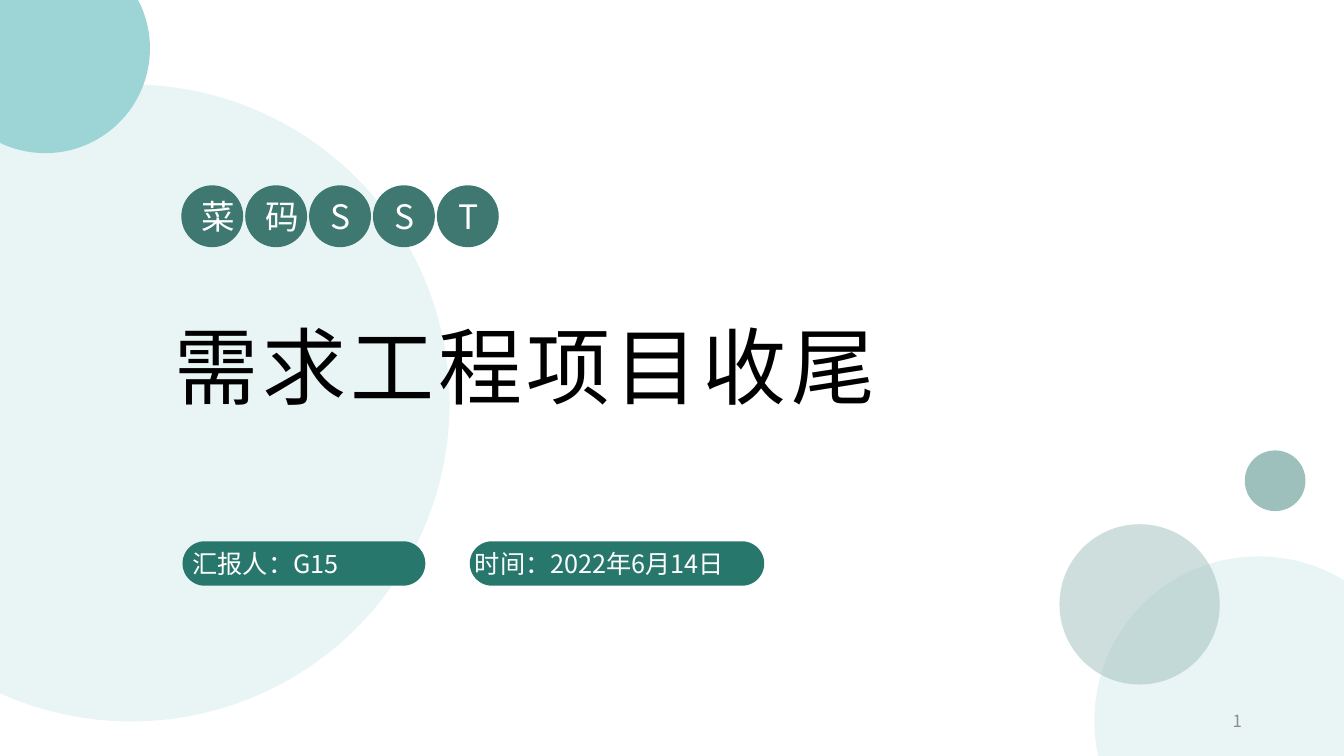
from dataclasses import dataclass

from lxml.etree import SubElement
from pptx import Presentation
from pptx.dml.color import RGBColor
from pptx.enum.shapes import MSO_SHAPE as Preset
from pptx.enum.text import MSO_ANCHOR as Anchor, MSO_AUTO_SIZE as AutoSize, PP_ALIGN as Align
from pptx.oxml.ns import qn
from pptx.util import Cm, Pt


@dataclass(frozen=True)
class Theme:
    font: str = "Noto Sans CJK SC"
    pale: str = "E9F5F5"
    aqua: str = "9DD5D6"
    sage: str = "9DC0BC"
    badge: str = "3E7871"
    pill: str = "27776D"
    white: str = "FFFFFF"
    black: str = "000000"
    grey: str = "8C8C8C"
    title_size: int = 60
    badge_size: int = 24
    label_size: int = 18
    number_size: int = 12


class SlideBuilder:
    def __init__(self, slide, theme):
        self.slide = slide
        self.theme = theme

    def group(self):
        return self.slide.shapes.add_group_shape().shapes

    def shape(self, preset, left, top, width, height, color, shapes=None, opacity=None):
        target = self.slide.shapes if shapes is None else shapes
        shape = target.add_shape(preset, Cm(left), Cm(top), Cm(width), Cm(height))
        shape.shadow.inherit = False
        shape.fill.solid()
        shape.fill.fore_color.rgb = RGBColor.from_string(color)
        shape.line.fill.background()
        if opacity is not None:
            fill_color = shape.fill._xPr.find(qn("a:solidFill"))[0]
            SubElement(fill_color, qn("a:alpha"), val=str(opacity * 1000))
        return shape

    def circle(self, left, top, diameter, color, shapes=None, opacity=None):
        return self.shape(Preset.OVAL, left, top, diameter, diameter, color, shapes, opacity)

    def text(self, words, left, top, width, height, size, color, align=Align.LEFT,
             shapes=None, spacing=None, anchor=Anchor.TOP, auto_size=AutoSize.SHAPE_TO_FIT_TEXT):
        target = self.slide.shapes if shapes is None else shapes
        frame = target.add_textbox(Cm(left), Cm(top), Cm(width), Cm(height)).text_frame
        frame.word_wrap = True
        frame.auto_size = auto_size
        frame.vertical_anchor = anchor
        paragraph = frame.paragraphs[0]
        paragraph.alignment = align
        run = paragraph.add_run()
        run.text = words
        run.font.size = Pt(size)
        run.font.color.rgb = RGBColor.from_string(color)
        run.font.name = self.theme.font
        properties = run.font._element
        SubElement(properties, qn("a:ea"), typeface=self.theme.font)
        if spacing is not None:
            properties.set("spc", str(spacing * 100))
        return frame

    def badges(self, letters, left, top, diameter, pitch):
        shapes = self.group()
        for index in range(len(letters)):
            self.circle(left + index * pitch, top, diameter, self.theme.badge, shapes)
        for index, letter in enumerate(letters):
            self.text(letter, left + 0.26 + index * pitch, top + 0.13, 1.07, 1.27,
                      self.theme.badge_size, self.theme.white, Align.CENTER, shapes)

    def pill(self, words, left, top, width, text_width, inset=0.25):
        shapes = self.group()
        pill = self.shape(Preset.ROUNDED_RECTANGLE, left, top, width, 1.12, self.theme.pill, shapes)
        pill.adjustments[0] = 0.5
        frame = self.text(words, left, top + 0.05, text_width, 1.02,
                          self.theme.label_size, self.theme.white, Align.JUSTIFY, shapes)
        frame.margin_left = Cm(inset)
        frame.margin_right = 0


def main():
    presentation = Presentation()
    presentation.slide_width = Cm(33.87)
    presentation.slide_height = Cm(19.05)
    theme = Theme()
    builder = SlideBuilder(presentation.slides.add_slide(presentation.slide_layouts[6]), theme)

    builder.circle(-4.72, 2.13, 16.05, theme.pale)
    builder.circle(-1.5, -1.42, 5.28, theme.aqua)
    builder.badges("菜码SST", 4.57, 4.67, 1.56, 1.61)
    builder.text("需求工程项目收尾", 4.14, 7.8, 25.6, 2.82,
                 theme.title_size, theme.black, spacing=3)
    builder.circle(27.58, 14.02, 8.28, theme.pale)
    builder.circle(31.37, 11.35, 1.53, theme.sage)
    builder.pill("汇报人：G15", 4.6, 13.64, 6.12, 6.1)
    builder.pill("时间：2022年6月14日", 11.84, 13.64, 7.42, 7.52, inset=0.13)
    builder.circle(26.7, 13.21, 4.04, theme.sage, opacity=51)
    builder.text("1", 23.93, 17.65, 7.62, 1.02, theme.number_size, theme.grey, Align.RIGHT,
                 anchor=Anchor.MIDDLE, auto_size=AutoSize.NONE)

    presentation.save("out.pptx")


if __name__ == "__main__":
    main()
